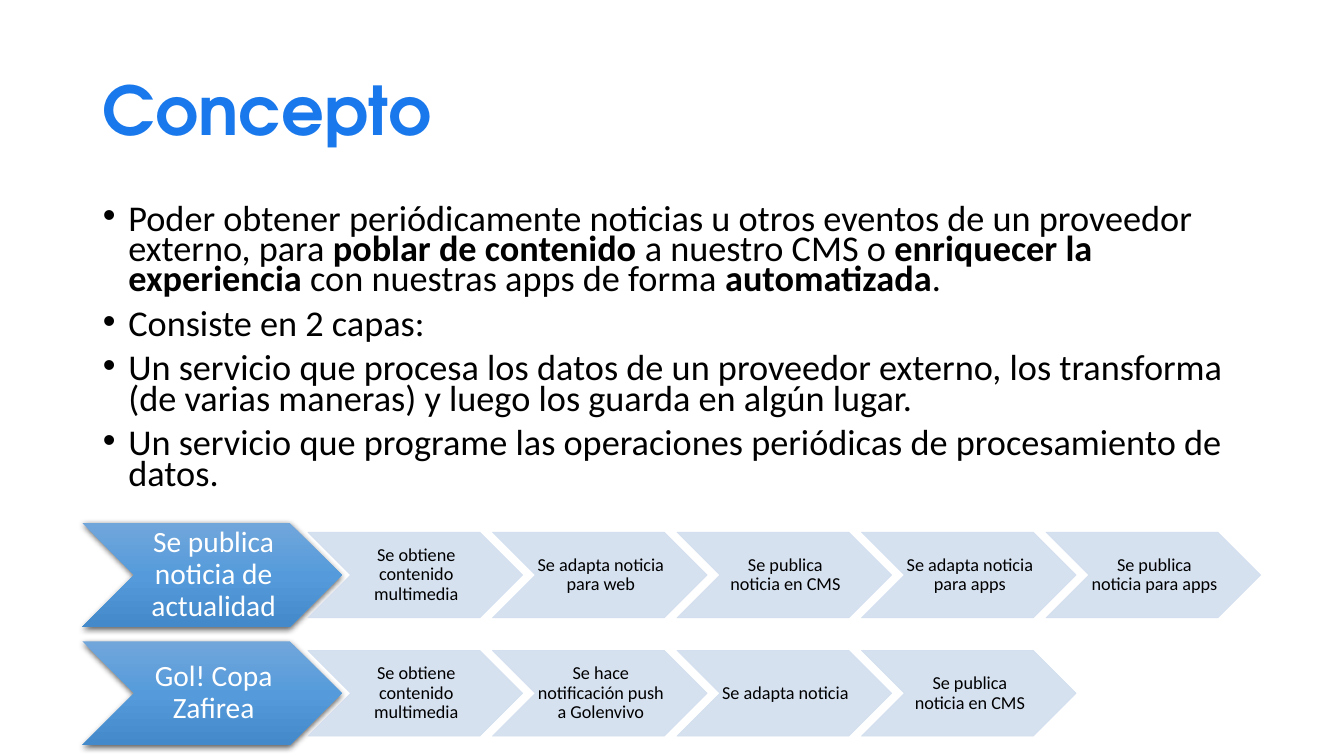
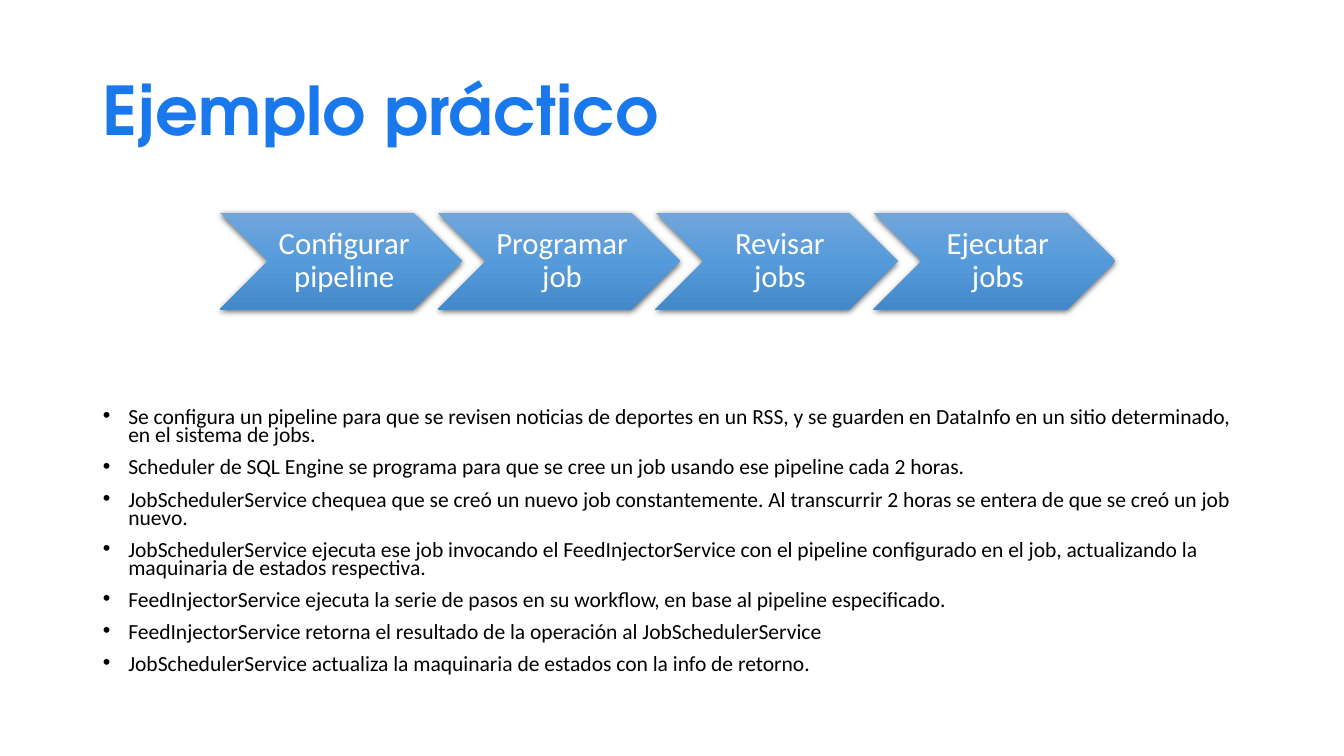
"""Two slides on a feed-processing service: its concept and a worked example."""
from copy import deepcopy
from dataclasses import dataclass

from pptx import Presentation
from pptx import util as u
from pptx.dml.color import RGBColor
from pptx.enum import shapes, text
from pptx.oxml import ns, xmlchemy

Cm, Pt = u.Cm, u.Pt


@dataclass(frozen=True)
class Theme:
    """Colours, fonts and type sizes shared by the slides."""
    title_color: str = "1978EB"
    ink: str = "000000"
    on_accent: str = "FFFFFF"
    pale: str = "D2DEEF"
    gradient: tuple = ((0, "71A6DB"), (0.5, "559BDB"), (1, "448ACA"))
    title_font: str = "TeX Gyre Adventor"
    body_font: str = "Calibri"
    title_size: float = 48
    concept_size: float = 25.9
    example_size: float = 15.4
    lead_size: float = 21
    stage_size: float = 22
    step_size: float = 13


THEME = Theme()

CONCEPT = (
    "Poder obtener periódicamente noticias u otros eventos de un proveedor externo, "
    "para **poblar de contenido **a nuestro CMS o **enriquecer la experiencia **"
    "con nuestras apps de forma **automatizada**.",
    "Consiste en 2 capas:",
    "Un servicio que procesa los datos de un proveedor externo, los transforma "
    "(de varias maneras) y luego los guarda en algún lugar.",
    "Un servicio que programe las operaciones periódicas de procesamiento de datos.",
)
FLOWS = {
    "Se publica noticia de actualidad": (
        "Se obtiene contenido multimedia", "Se adapta noticia para web",
        "Se publica noticia en CMS", "Se adapta noticia para apps",
        "Se publica noticia para apps"),
    "Gol! Copa Zafirea": (
        "Se obtiene contenido multimedia", "Se hace notificación push a Golenvivo",
        "Se adapta noticia", "Se publica noticia en CMS"),
}
STAGES = ("Configurar pipeline", "Programar job", "Revisar jobs", "Ejecutar jobs")
EXAMPLE = (
    "Se configura un pipeline para que se revisen noticias de deportes en un RSS, y se "
    "guarden en DataInfo en un sitio determinado, en el sistema de jobs.",
    "Scheduler de SQL Engine se programa para que se cree un job usando ese pipeline "
    "cada 2 horas.",
    "JobSchedulerService chequea que se creó un nuevo job constantemente. Al transcurrir "
    "2 horas se entera de que se creó un job nuevo.",
    "JobSchedulerService ejecuta ese job invocando el FeedInjectorService con el pipeline "
    "configurado en el job, actualizando la maquinaria de estados respectiva.",
    "FeedInjectorService ejecuta la serie de pasos en su workflow, en base al pipeline "
    "especificado.",
    "FeedInjectorService retorna el resultado de la operación al JobSchedulerService",
    "JobSchedulerService actualiza la maquinaria de estados con la info de retorno.",
)


def add_child(parent, tag, **attributes):
    """Append a DrawingML child with the given attributes."""
    child = xmlchemy.OxmlElement(tag)
    for key, value in attributes.items():
        child.set(key, str(value))
    parent.append(child)
    return child


def place(shape, left, top, width, height):
    """Move and size a shape, in centimetres."""
    shape.left, shape.top = Cm(left), Cm(top)
    shape.width, shape.height = Cm(width), Cm(height)


def set_font(paragraph, name, size, color):
    """Format all the text of a paragraph."""
    paragraph.font.name = name
    paragraph.font.size = Pt(size)
    paragraph.font.color.rgb = RGBColor.from_string(color)


def add_titled_slide(deck, heading):
    """Add a slide with the shared title style."""
    slide = deck.slides.add_slide(deck.slide_layouts[1])
    title = slide.shapes.title
    place(title, 2.34, 1.02, 26.39, 3.68)
    frame = title.text_frame
    frame.text = heading
    frame.auto_size = text.MSO_AUTO_SIZE.NONE
    frame.vertical_anchor = text.MSO_ANCHOR.MIDDLE
    line = frame.paragraphs[0]
    line.alignment = text.PP_ALIGN.LEFT
    line.line_spacing = 0.9
    set_font(line, THEME.title_font, THEME.title_size, THEME.title_color)
    line.font.bold = True
    return slide


def fill_list(slide, items, top, height, size):
    """Write the bulleted list; ** switches bold on and off."""
    body = slide.placeholders[1]
    place(body, 2.34, top, 29.21, height)
    frame = body.text_frame
    frame.auto_size = text.MSO_AUTO_SIZE.NONE
    frame.vertical_anchor = text.MSO_ANCHOR.TOP
    for index, item in enumerate(items):
        entry = frame.add_paragraph() if index else frame.paragraphs[0]
        for part, words in enumerate(item.split("**")):
            run = entry.add_run()
            run.text = words
            if part % 2:
                run.font.bold = True
        entry.line_spacing = 0.7
        entry.space_before = Pt(10)
        set_font(entry, THEME.body_font, size, THEME.ink)
        layout = entry._p.get_or_add_pPr()
        layout.set("marL", str(Cm(0.64)))
        layout.set("indent", str(-Cm(0.64)))
        bullet = xmlchemy.OxmlElement("a:buChar")
        bullet.set("char", "•")
        layout.insert_element_before(bullet, "a:tabLst", "a:defRPr", "a:extLst")


def add_chevron(slide, label, box, size, color, insets):
    """Add a chevron with a centred label inside it."""
    chevron = slide.shapes.add_shape(shapes.MSO_SHAPE.CHEVRON, *map(Cm, box))
    chevron.shadow.inherit = False
    frame = chevron.text_frame
    frame.text = label
    frame.word_wrap = True
    frame.vertical_anchor = text.MSO_ANCHOR.MIDDLE
    (frame.margin_left, frame.margin_top,
     frame.margin_right, frame.margin_bottom) = map(Cm, insets)
    line = frame.paragraphs[0]
    line.alignment = text.PP_ALIGN.CENTER
    line.line_spacing = 0.9
    set_font(line, THEME.body_font, size, color)
    return chevron


def add_strong_chevron(slide, label, box, size, insets):
    """Add a chevron with the blue gradient and a soft shadow."""
    chevron = add_chevron(slide, label, box, size, THEME.on_accent, insets)
    chevron.line.fill.background()
    chevron.fill.gradient()
    chevron.fill.gradient_angle = 270
    properties = chevron._element.spPr
    stops = properties.find(".//" + ns.qn("a:gsLst"))
    stops.append(deepcopy(stops[0]))
    for stop, (position, color) in zip(chevron.fill.gradient_stops, THEME.gradient):
        stop.position = position
        stop.color.rgb = RGBColor.from_string(color)
    shadow = add_child(properties.find(ns.qn("a:effectLst")), "a:outerShdw",
                       blurRad=Pt(4.5), dist=Pt(1.5), dir=5400000,
                       algn="ctr", rotWithShape=0)
    shade = add_child(shadow, "a:srgbClr", val=THEME.ink)
    add_child(shade, "a:alpha", val=63000)


def add_pale_chevron(slide, label, box):
    """Add a slightly transparent chevron for one step of a flow."""
    chevron = add_chevron(slide, label, box, THEME.step_size, THEME.ink,
                          (0.05, 0.03, 0, 0.03))
    pale = RGBColor.from_string(THEME.pale)
    chevron.fill.solid()
    chevron.fill.fore_color.rgb = pale
    chevron.line.color.rgb = pale
    chevron.line.width = Pt(0.5)
    for color in chevron._element.spPr.iter(ns.qn("a:srgbClr")):
        add_child(color, "a:alpha", val=90000)


def add_flow(slide, lead, steps, top):
    """Add a lead chevron followed by its steps, centred on one line."""
    lead_height, step_height = 2.62, 2.16
    add_strong_chevron(slide, lead, (2.08, top, 6.53, lead_height),
                       THEME.lead_size, (0.08, 0.03, 0, 0.03))
    step_top = top + (lead_height - step_height) / 2
    for index, step in enumerate(steps):
        add_pale_chevron(slide, step, (7.76 + 4.65 * index, step_top, 5.41, step_height))


def build_concept(deck):
    """Slide with the concept and two sample flows."""
    slide = add_titled_slide(deck, "Concepto")
    for row, (lead, steps) in enumerate(FLOWS.items()):
        add_flow(slide, lead, steps, 13.18 + 2.98 * row)
    fill_list(slide, CONCEPT, 5.08, 7.87, THEME.concept_size)


def build_example(deck):
    """Slide with the four stages and their explanation."""
    slide = add_titled_slide(deck, "Ejemplo práctico")
    for index, stage in enumerate(STAGES):
        add_strong_chevron(slide, stage, (5.54 + 5.49 * index, 5.36, 6.1, 2.44),
                           THEME.stage_size, (0.25, 0.08, 0.08, 0.08))
    fill_list(slide, EXAMPLE, 10.21, 6.93, THEME.example_size)


def main():
    """Build and save the deck."""
    deck = Presentation()
    deck.slide_width, deck.slide_height = Cm(33.87), Cm(19.05)
    build_concept(deck)
    build_example(deck)
    deck.save("out.pptx")


main()
